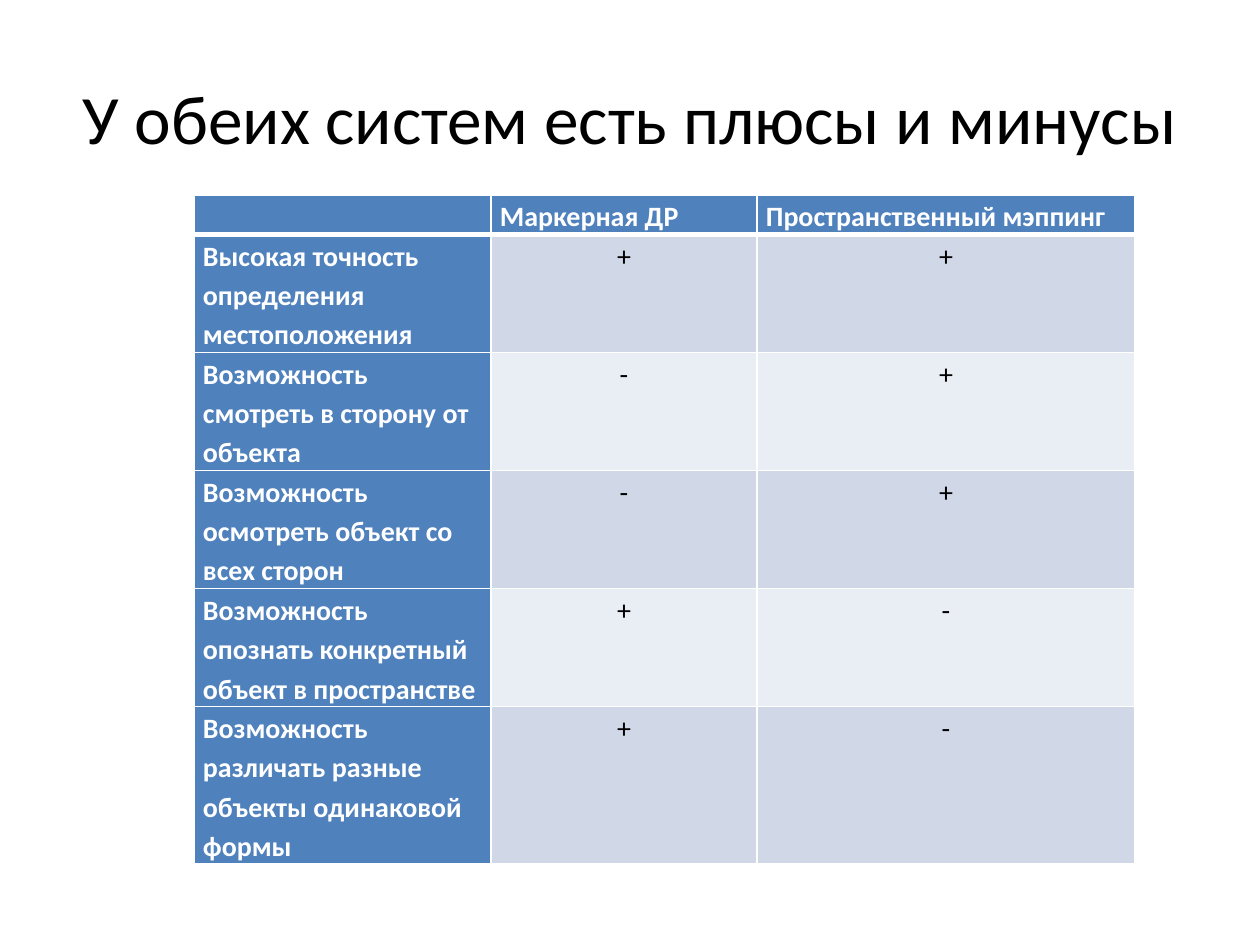
from dataclasses import dataclass

from lxml.etree import SubElement
from pptx import Presentation
from pptx.dml.color import RGBColor as Rgb
from pptx.enum.text import MSO_ANCHOR as Anchor, PP_ALIGN as Align
from pptx.oxml.ns import qn
from pptx.util import Emu, Pt

EMU_PER_PX = 914400 // 126


@dataclass(frozen=True)
class Theme:
    """Colours, type sizes and font of the slide."""
    font: str = "Calibri"
    title_size: float = 39.6
    table_size: int = 16
    line_spacing: float = 1.15
    ink: str = "000000"
    light: str = "FFFFFF"
    heading: str = "4F81BD"
    bands: tuple = ("D0D8E8", "E9EDF4")


THEME = Theme()

COLUMN_WIDTHS = (297, 266, 378)
ROW_HEIGHTS = (35, 105, 69, 69, 105, 105)
COMPARISON = (
    ("", "Маркерная ДР", "Пространственный мэппинг"),
    ("Высокая точность определения местоположения", "+", "+"),
    ("Возможность смотреть в сторону от объекта", "-", "+"),
    ("Возможность осмотреть объект со всех сторон", "-", "+"),
    ("Возможность опознать конкретный объект в пространстве", "+", "-"),
    ("Возможность различать разные объекты одинаковой формы", "+", "-"),
)


def px(length):
    """Turn whole pixels into EMU."""
    return Emu(length * EMU_PER_PX)


def add_run(paragraph, text, size, color, bold=False):
    """Append one formatted run to a paragraph."""
    run = paragraph.add_run()
    run.text = text
    run.font.name = THEME.font
    run.font.size = Pt(size)
    run.font.bold = bold
    run.font.color.rgb = Rgb.from_string(color)


def set_title(slide, text):
    """Place and fill the title placeholder."""
    title = slide.shapes.title
    title.left, title.top, title.width, title.height = map(px, (63, 38, 1134, 157))
    frame = title.text_frame
    frame.word_wrap = True
    frame.vertical_anchor = Anchor.MIDDLE
    paragraph = frame.paragraphs[0]
    paragraph.alignment = Align.CENTER
    add_run(paragraph, text, THEME.title_size, THEME.ink)


def set_borders(cell, bottom_width, top_width):
    """Draw the light lines around a cell."""
    properties = cell._tc.get_or_add_tcPr()
    widths = {"a:lnL": 1, "a:lnR": 1, "a:lnT": top_width, "a:lnB": bottom_width}
    for edge, width in widths.items():
        line = SubElement(properties, qn(edge), w=str(Pt(width)))
        fill = SubElement(line, qn("a:solidFill"))
        SubElement(fill, qn("a:srgbClr"), val=THEME.light)


def fill_cell(cell, text, row, column):
    """Format one cell by its place in the table."""
    is_heading = row == 0 or column == 0
    set_borders(cell, 3 if row == 0 else 1, 3 if row == 1 else 1)
    cell.fill.solid()
    cell.fill.fore_color.rgb = Rgb.from_string(
        THEME.heading if is_heading else THEME.bands[(row - 1) % 2])
    cell.margin_left = cell.margin_right = px(9)
    cell.margin_top = cell.margin_bottom = 0
    paragraph = cell.text_frame.paragraphs[0]
    paragraph.line_spacing = THEME.line_spacing
    paragraph.alignment = Align.LEFT if is_heading else Align.CENTER
    if text:
        add_run(paragraph, text, THEME.table_size,
                THEME.light if is_heading else THEME.ink, is_heading)
    else:
        SubElement(paragraph._p, qn("a:endParaRPr"), sz=str(THEME.table_size * 100))


def add_comparison(slide):
    """Add the table of pluses and minuses."""
    height = px(644)
    frame = slide.shapes.add_table(
        len(ROW_HEIGHTS), len(COLUMN_WIDTHS),
        px(194), px(195), px(sum(COLUMN_WIDTHS)), height)
    table = frame.table
    for column, width in zip(table.columns, COLUMN_WIDTHS):
        column.width = px(width)
    for row, row_height in zip(table.rows, ROW_HEIGHTS):
        row.height = px(row_height)
    frame.height = height
    for row, texts in enumerate(COMPARISON):
        for column, text in enumerate(texts):
            fill_cell(table.cell(row, column), text, row, column)


def main():
    """Build and save the slide."""
    deck = Presentation()
    deck.slide_width, deck.slide_height = px(1260), px(945)
    slide = deck.slides.add_slide(deck.slide_layouts[5])
    set_title(slide, "У обеих систем есть плюсы и минусы")
    add_comparison(slide)
    deck.save("out.pptx")


if __name__ == "__main__":
    main()
